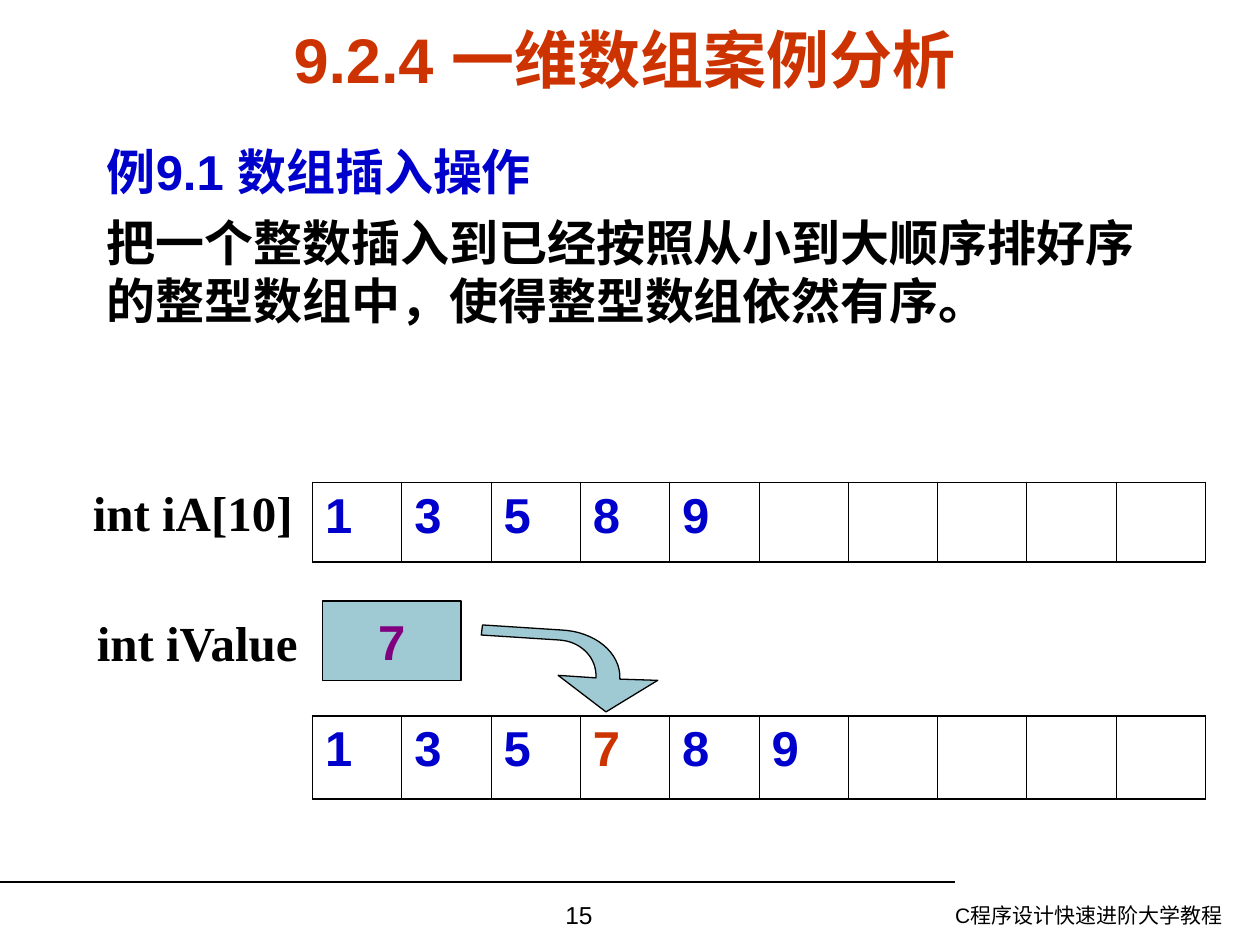
import lxml.etree
import pptx
import pptx.dml.color
import pptx.enum.shapes
import pptx.enum.text
import pptx.oxml.ns
import pptx.util

Inches = pptx.util.Inches
Pt = pptx.util.Pt
qn = pptx.oxml.ns.qn
ALIGN = pptx.enum.text.PP_ALIGN
ANCHOR = pptx.enum.text.MSO_ANCHOR


class Theme:
    sans, serif = "Arial", "Times New Roman"
    black, red, blue = "000000", "CC3300", "0000CC"
    purple, teal = "800080", "9FCAD3"
    title, body, page, footer = 36, 28, 14, 12
    space = 7
    line, inner, outer = 0.75, 0.45, 1.08


def rgb(value):
    return pptx.dml.color.RGBColor.from_string(value)


def bezier(p0, p1, p2, p3, steps=16):
    """Points on a cubic curve, without its starting point."""
    return [tuple((1 - t) ** 3 * a + 3 * (1 - t) ** 2 * t * b
                  + 3 * (1 - t) * t ** 2 * c + t ** 3 * d
                  for a, b, c, d in zip(p0, p1, p2, p3))
            for t in (i / steps for i in range(1, steps + 1))]


class SlideBuilder:
    def __init__(self, slide, theme):
        self.s, self.theme = slide, theme

    def run(self, p, text, size, color, font=None, bold=True):
        r = p.add_run()
        r.text = text
        r.font.name = font or self.theme.sans
        r.font.size = Pt(size)
        r.font.bold = bold
        r.font.color.rgb = rgb(color)

    def text(self, box, lines, size, font=None, bold=True, align=ALIGN.LEFT,
             anchor=ANCHOR.TOP, wrap=True, space=0):
        """Text box with one paragraph for each (text, colour) pair."""
        tf = self.s.shapes.add_textbox(*map(Inches, box)).text_frame
        tf.word_wrap, tf.vertical_anchor = wrap, anchor
        for i, (text, color) in enumerate(lines):
            p = tf.add_paragraph() if i else tf.paragraphs[0]
            p.alignment = align
            p.space_before = Pt(space)
            self.run(p, text, size, color, font, bold)

    def style(self, sp):
        sp.shadow.inherit = False
        sp.fill.solid()
        sp.fill.fore_color.rgb = rgb(self.theme.teal)
        sp.line.color.rgb = rgb(self.theme.black)
        sp.line.width = Pt(self.theme.line)

    def value_box(self, box, text):
        sp = self.s.shapes.add_shape(
            pptx.enum.shapes.MSO_SHAPE.RECTANGLE, *map(Inches, box))
        self.style(sp)
        tf = sp.text_frame
        tf.word_wrap, tf.vertical_anchor = False, ANCHOR.MIDDLE
        p = tf.paragraphs[0]
        p.alignment = ALIGN.CENTER
        self.run(p, text, self.theme.body, self.theme.purple)

    def outline(self, points):
        start, *rest = [(Inches(x), Inches(y)) for x, y in points]
        builder = self.s.shapes.build_freeform(*start)
        builder.add_line_segments(rest, close=True)
        self.style(builder.convert_to_shape())

    def rule(self, x1, y1, x2, y2):
        line = self.s.shapes.add_connector(
            pptx.enum.shapes.MSO_CONNECTOR.STRAIGHT,
            *map(Inches, (x1, y1, x2, y2)))
        line.line.color.rgb = rgb(self.theme.black)
        line.line.width = Pt(self.theme.line)
        lxml.etree.SubElement(line._element.spPr, qn("a:effectLst"))

    def border(self, cell, side, width):
        ln = lxml.etree.SubElement(
            cell._tc.get_or_add_tcPr(), qn("a:ln" + side), w=str(Pt(width)))
        fill = lxml.etree.SubElement(ln, qn("a:solidFill"))
        lxml.etree.SubElement(fill, qn("a:srgbClr"), val=self.theme.black)

    def array(self, box, values, inserted=None, length=10):
        """One-row table; the inserted value stands out in red."""
        t = self.theme
        table = self.s.shapes.add_table(1, length, *map(Inches, box)).table
        table.first_row = table.horz_banding = False
        for i, cell in enumerate(table.rows[0].cells):
            self.border(cell, "L", t.inner if i else t.outer)
            self.border(cell, "R", t.inner if i < length - 1 else t.outer)
            self.border(cell, "T", t.outer)
            self.border(cell, "B", t.outer)
            cell.fill.background()
            if i < len(values):
                p = cell.text_frame.paragraphs[0]
                p.space_before = Pt(t.space)
                color = t.red if values[i] == inserted else t.blue
                self.run(p, str(values[i]), t.body, color)


def main():
    prs = pptx.Presentation()
    prs.slide_width, prs.slide_height = Inches(10), Inches(7.5)
    t = Theme
    b = SlideBuilder(prs.slides.add_slide(prs.slide_layouts[6]), t)

    # Footer
    b.rule(0, 7, 7.58, 7)
    b.text((6.57, 7.11, 3.23, 0.39), [("C程序设计快速进阶大学教程", t.black)],
           t.footer, bold=False, align=ALIGN.RIGHT)
    b.text((3.43, 7.09, 2.33, 0.41), [("15", t.black)],
           t.page, bold=False, align=ALIGN.CENTER)

    # Title and problem statement
    b.text((0.43, 0.21, 9.05, 0.5), [("9.2.4 一维数组案例分析", t.red)],
           t.title, align=ALIGN.CENTER, anchor=ANCHOR.MIDDLE)
    b.text((0.75, 1.07, 8.7, 5.75),
           [("例9.1 数组插入操作", t.blue),
            ("把一个整数插入到已经按照从小到大顺序排好序的整型数组中，"
             "使得整型数组依然有序。", t.black)],
           t.body, space=t.space)

    # Array before and after the insertion
    b.array((2.48, 3.83, 7.09, 0.63), [1, 3, 5, 8, 9])
    b.text((0.53, 3.75, 2, 0.63), [("int iA[10]", t.black)], t.body,
           t.serif, align=ALIGN.CENTER, anchor=ANCHOR.MIDDLE, wrap=False)
    b.array((2.48, 5.68, 7.09, 0.66), [1, 3, 5, 7, 8, 9], inserted=7)

    # Value to insert
    b.text((0.67, 4.81, 2.12, 0.57), [("int iValue", t.black)], t.body,
           t.serif, anchor=ANCHOR.MIDDLE, wrap=False)
    b.value_box((2.56, 4.77, 1.1, 0.63), "7")

    # Bent arrow from the value to its place
    outer = bezier((4.92, 5.39), (4.93, 5.18), (4.72, 5.01), (4.45, 5))
    inner = bezier((4.44, 5.08), (4.61, 5.09), (4.74, 5.22), (4.73, 5.38))
    b.outline([(4.81, 5.65), (5.22, 5.4), (4.92, 5.39), *outer,
               (3.83, 4.96), (3.82, 5.04), (4.44, 5.08), *inner,
               (4.43, 5.36)])

    prs.save("out.pptx")


if __name__ == "__main__":
    main()
